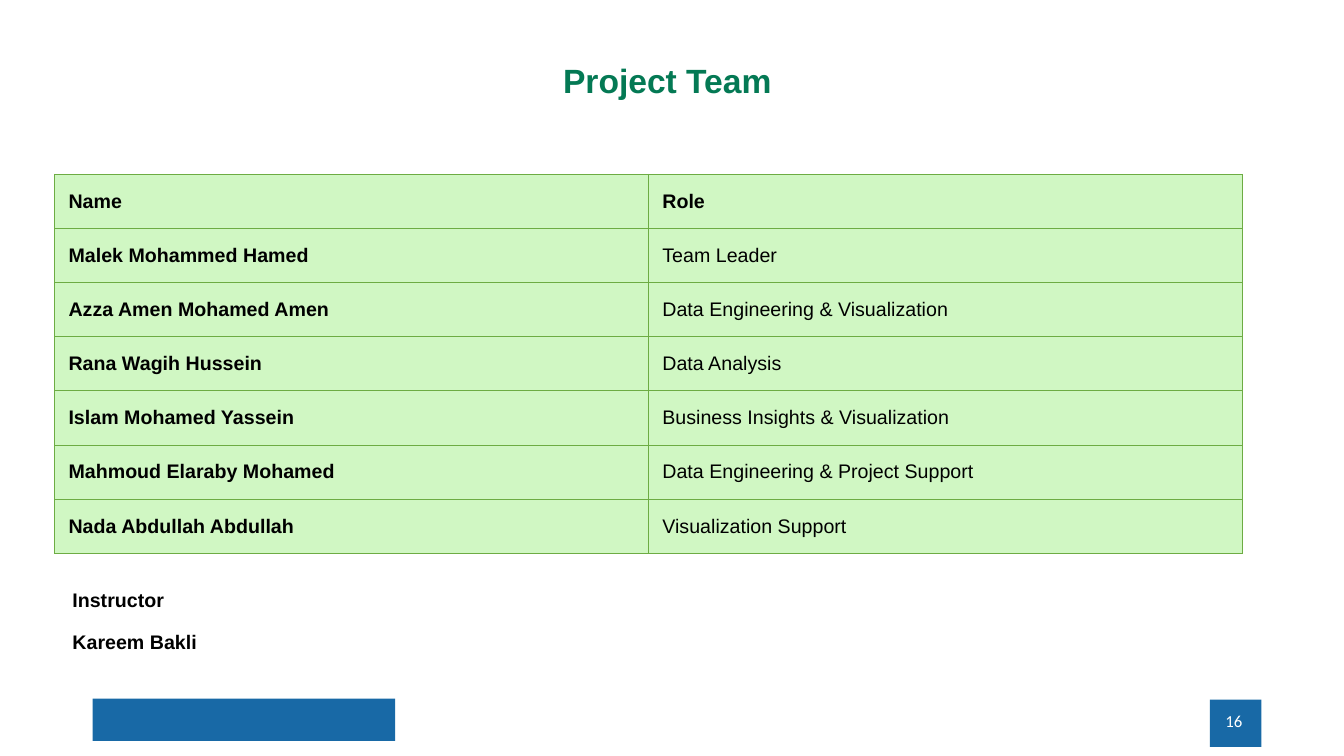
from dataclasses import dataclass

from lxml.etree import SubElement
from pptx import Presentation
from pptx.dml.color import RGBColor
from pptx.enum.shapes import MSO_SHAPE
from pptx.enum.text import MSO_ANCHOR, MSO_AUTO_SIZE, PP_ALIGN
from pptx.oxml.ns import qn
from pptx.util import Inches, Pt


@dataclass(frozen=True)
class Theme:
    blue: str = "1869A6"
    green: str = "047954"
    cell: str = "D0F7C3"
    border: str = "6DAC43"
    black: str = "000000"
    white: str = "FFFFFF"
    title: int = 24
    body: int = 14
    small: int = 12
    font: str = "Arial"
    number_font: str = "Calibri"


TEAM = [
    ("Name", "Role"),
    ("Malek Mohammed Hamed", "Team Leader"),
    ("Azza Amen Mohamed Amen", "Data Engineering & Visualization"),
    ("Rana Wagih Hussein", "Data Analysis"),
    ("Islam Mohamed Yassein", "Business Insights & Visualization"),
    ("Mahmoud Elaraby Mohamed", "Data Engineering & Project Support"),
    ("Nada Abdullah Abdullah", "Visualization Support"),
]


def apply(target, formats):
    for name, value in formats.items():
        setattr(target, name, value)


class SlideBuilder:
    def __init__(self, slide, theme):
        self.s = slide
        self.theme = theme

    def add_text(self, p, text, size, color, bold=False, font=None, **paragraph):
        apply(p, paragraph)
        r = p.add_run()
        r.text = text
        apply(r.font, {"size": Pt(size), "bold": bold, "name": font or self.theme.font})
        r.font.color.rgb = RGBColor.from_string(color)

    def bar(self, x, y, w, h):
        sp = self.s.shapes.add_shape(
            MSO_SHAPE.RECTANGLE, Inches(x), Inches(y), Inches(w), Inches(h))
        sp.shadow.inherit = False
        sp.fill.solid()
        sp.fill.fore_color.rgb = RGBColor.from_string(self.theme.blue)
        sp.line.fill.background()

    def text_box(self, x, y, w, h, **frame):
        tf = self.s.shapes.add_textbox(
            Inches(x), Inches(y), Inches(w), Inches(h)).text_frame
        apply(tf, {"word_wrap": True, **frame})
        return tf

    def cell_borders(self, cell):
        tc_pr = cell._tc.get_or_add_tcPr()
        for i, side in enumerate(("lnL", "lnR", "lnT", "lnB")):
            ln = tc_pr.makeelement(qn(f"a:{side}"), {"w": str(Pt(0.75))})
            fill = SubElement(ln, qn("a:solidFill"))
            SubElement(fill, qn("a:srgbClr"), val=self.theme.border)
            tc_pr.insert(i, ln)

    def table(self, rows, x, y, col_w, row_h):
        n_cols = len(rows[0])
        table = self.s.shapes.add_table(
            len(rows), n_cols, Inches(x), Inches(y),
            Inches(col_w * n_cols), Inches(row_h * len(rows))).table
        apply(table, {"first_row": False, "horz_banding": False})
        for i, row in enumerate(rows):
            for j, text in enumerate(row):
                cell = table.cell(i, j)
                apply(cell, {
                    "vertical_anchor": MSO_ANCHOR.MIDDLE,
                    "margin_left": Inches(0.14), "margin_right": Inches(0.14),
                    "margin_top": Inches(0.06), "margin_bottom": Inches(0.06),
                })
                cell.fill.solid()
                cell.fill.fore_color.rgb = RGBColor.from_string(self.theme.cell)
                self.cell_borders(cell)
                # Header row and name column are bold
                self.add_text(cell.text_frame.paragraphs[0], text, self.theme.body,
                              self.theme.black, bold=i == 0 or j == 0)


def main():
    prs = Presentation()
    apply(prs, {"slide_width": Inches(13.33), "slide_height": Inches(7.5)})
    theme = Theme()
    page = SlideBuilder(prs.slides.add_slide(prs.slide_layouts[6]), theme)

    # Footer bars and page number
    page.bar(0.92, 6.93, 3, 0.42)
    page.bar(12, 6.94, 0.51, 0.47)
    tf = page.text_box(9.42, 6.95, 3, 0.4, vertical_anchor=MSO_ANCHOR.MIDDLE)
    page.add_text(tf.paragraphs[0], "16", theme.small, theme.white,
                  font=theme.number_font, alignment=PP_ALIGN.RIGHT)

    # Title
    tf = page.text_box(5.46, 0.55, 2.41, 0.5, word_wrap=False,
                       auto_size=MSO_AUTO_SIZE.SHAPE_TO_FIT_TEXT)
    page.add_text(tf.paragraphs[0], "Project Team ", theme.title, theme.green,
                  bold=True, alignment=PP_ALIGN.CENTER)

    # Team table
    page.table(TEAM, 0.54, 1.73, col_w=5.89, row_h=3.76 / len(TEAM))

    # Instructor
    tf = page.text_box(0.62, 5.77, 1.73, 0.74,
                       auto_size=MSO_AUTO_SIZE.SHAPE_TO_FIT_TEXT)
    spacing = {"space_after": Pt(12), "line_spacing": 1.07}
    page.add_text(tf.paragraphs[0], "Instructor", theme.body, theme.black,
                  bold=True, space_before=Pt(18), **spacing)
    page.add_text(tf.add_paragraph(), "Kareem Bakli", theme.body, theme.black,
                  bold=True, **spacing)

    prs.save("out.pptx")


if __name__ == "__main__":
    main()
